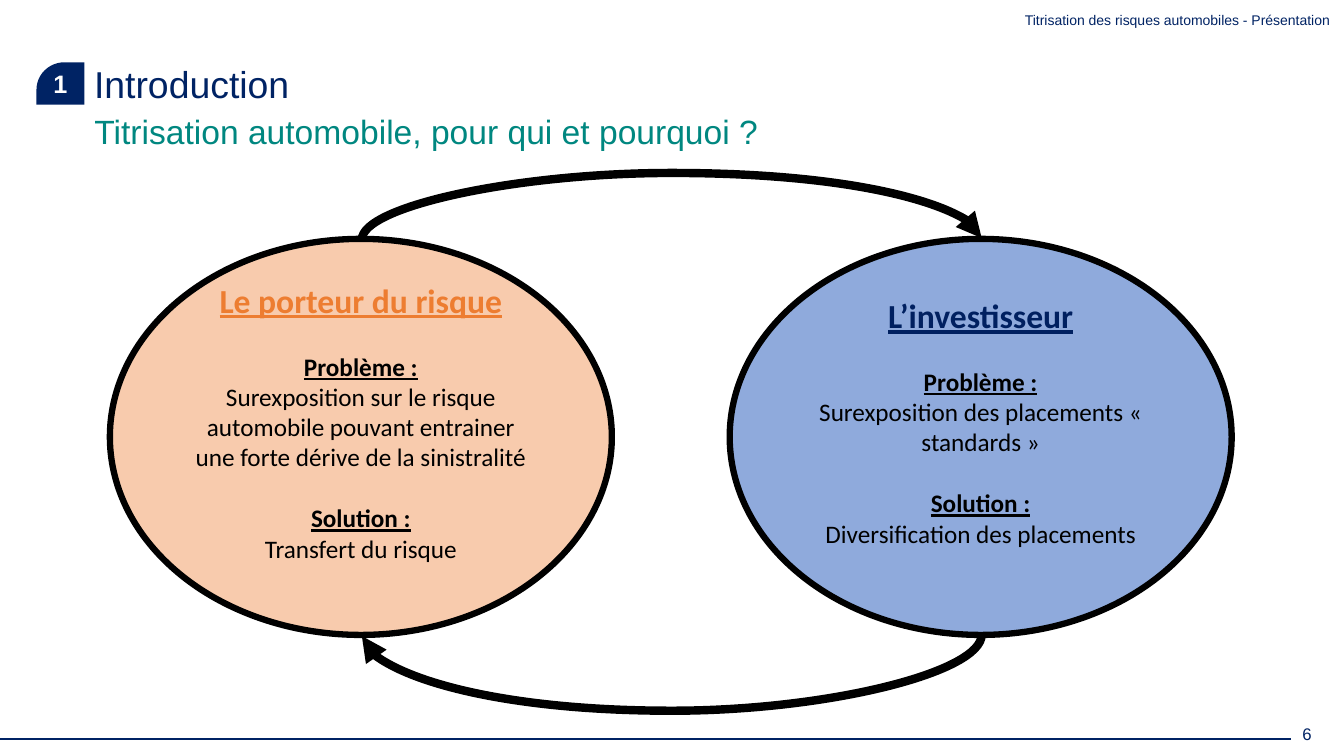
from dataclasses import dataclass
from math import cos, pi, sin

from lxml import etree
from pptx import Presentation
from pptx.dml.color import RGBColor
from pptx.enum import shapes, text
from pptx.oxml.ns import qn
from pptx.util import Cm, Pt


@dataclass(frozen=True)
class Theme:
    navy: str = "002364"
    teal: str = "008780"
    white: str = "FFFFFF"
    black: str = "000000"
    peach: str = "F8CBAD"
    orange: str = "ED7D31"
    blue: str = "8FAADC"
    ink: str = "002060"
    sans: str = "Arial"
    body: str = "Calibri"
    header: float = 10
    number: float = 12
    text: float = 18
    heading: float = 24
    title: float = 26.7


theme = Theme()


def write(para, wording, size, color, face=theme.sans, align=text.PP_ALIGN.LEFT, strong=False):
    para.text = wording
    para.alignment = align
    para.font.name = face
    para.font.size = Pt(size)
    para.font.bold = strong
    para.font.color.rgb = RGBColor.from_string(color)


def draw_line(kind, start, end, color, width):
    line = page.shapes.add_connector(kind, *map(Cm, start + end))
    line.line.color.rgb = RGBColor.from_string(color)
    line.line.width = Pt(width)
    etree.SubElement(line._element.spPr, qn("a:effectLst"))
    return line


deck = Presentation()
deck.slide_width, deck.slide_height = Cm(33.87), Cm(19.05)
page = deck.slides.add_slide(deck.slide_layouts[5])
center = text.PP_ALIGN.CENTER
middle = text.MSO_ANCHOR.MIDDLE

draw_line(shapes.MSO_CONNECTOR.STRAIGHT, (0, 18.62), (32.54, 18.62), theme.navy, 1)

title = page.shapes.title
title.left, title.top, title.width, title.height = Cm(2.37), Cm(1.58), Cm(29.36), Cm(1.07)
number = page.shapes.add_textbox(Cm(32.82), Cm(17.93), Cm(1.05), Cm(1.12))
header = page.shapes.add_textbox(Cm(2.37), 0, Cm(31.5), Cm(0.79))
subtitle = page.shapes.add_textbox(Cm(2.13), Cm(2.67), Cm(28.17), Cm(1.27))

labels = [
    (title, "Introduction", theme.title, theme.navy, text.PP_ALIGN.LEFT, middle, (0, 0, 0, 0)),
    (number, "6", theme.number, theme.navy, text.PP_ALIGN.LEFT, middle, (0, 0, 0, 0)),
    (header, "Titrisation des risques automobiles - Présentation", theme.header, theme.navy,
     text.PP_ALIGN.RIGHT, text.MSO_ANCHOR.TOP, (0, 0.3, 0.36, 0)),
    (subtitle, "Titrisation automobile, pour qui et pourquoi ?", theme.heading, theme.teal,
     text.PP_ALIGN.LEFT, text.MSO_ANCHOR.TOP, (0.25, 0.13, 0.25, 0.13)),
]
for box, wording, size, color, align, anchor, insets in labels:
    frame = box.text_frame
    frame.word_wrap = True
    frame.auto_size = text.MSO_AUTO_SIZE.NONE
    frame.vertical_anchor = anchor
    frame.margin_left, frame.margin_top, frame.margin_right, frame.margin_bottom = map(Cm, insets)
    write(frame.paragraphs[0], wording, size, color, align=align)

left, top, right, bottom = 0.92, 1.57, 2.13, 2.64
radius_x, radius_y = 0.71, 0.69
arc = [(Cm(left + radius_x * (1 - cos(step * pi / 24))),
        Cm(top + radius_y * (1 - sin(step * pi / 24)))) for step in range(13)]
outline = page.shapes.build_freeform(Cm(left), Cm(bottom))
outline.add_line_segments(arc + [(Cm(right), Cm(top)), (Cm(right), Cm(bottom))])
badge = outline.convert_to_shape()
badge.shadow.inherit = False
badge.fill.solid()
badge.fill.fore_color.rgb = RGBColor.from_string(theme.navy)
badge.line.fill.background()
badge.text_frame.vertical_anchor = middle
write(badge.text_frame.paragraphs[0], "1", theme.text, theme.white, align=center, strong=True)

parties = [
    (2.77, theme.peach, theme.orange, "Le porteur du risque",
     "Surexposition sur le risque automobile pouvant entrainer une forte dérive de la sinistralité",
     "Transfert du risque"),
    (18.39, theme.blue, theme.ink, "L’investisseur",
     "Surexposition des placements « standards »",
     "Diversification des placements"),
]
for left, fill, accent, name, problem, solution in parties:
    oval = page.shapes.add_shape(shapes.MSO_SHAPE.OVAL, Cm(left), Cm(6.02), Cm(12.65), Cm(9.98))
    oval.shadow.inherit = False
    oval.fill.solid()
    oval.fill.fore_color.rgb = RGBColor.from_string(fill)
    oval.line.color.rgb = RGBColor.from_string(theme.black)
    oval.line.width = Pt(4.5)
    frame = oval.text_frame
    frame.word_wrap = True
    frame.vertical_anchor = middle
    frame.margin_bottom = Cm(0.9)
    para = frame.paragraphs[0]
    write(para, name, theme.heading, accent, theme.body, center, True)
    para.font.underline = True
    for label, wording in (("Problème :", problem), ("Solution :", solution)):
        para = frame.add_paragraph()
        write(para, label, theme.text, theme.black, theme.body, center, True)
        para.font.underline = True
        para.space_before = Pt(22)
        write(frame.add_paragraph(), wording, theme.text, theme.black, theme.body, center)

span, offset = 15.62, 0.04
for middle_y, direction, depth in ((6.02, -1, 1.68), (16.01, 1, 1.92)):
    near = (16.93 - direction * offset / 2, middle_y - direction * span / 2)
    far = (16.93 + direction * offset / 2, middle_y + direction * span / 2)
    arrow = draw_line(shapes.MSO_CONNECTOR.CURVE, near, far, theme.black, 6)
    arrow._element.spPr.xfrm.set("rot", "5400000")
    guides = arrow._element.spPr.prstGeom.get_or_add_avLst()
    etree.SubElement(guides, qn("a:gd"), name="adj1", fmla=f"val {round(depth / offset * 100000)}")
    etree.SubElement(arrow.line._get_or_add_ln(), qn("a:tailEnd"), type="triangle")

deck.save("out.pptx")
